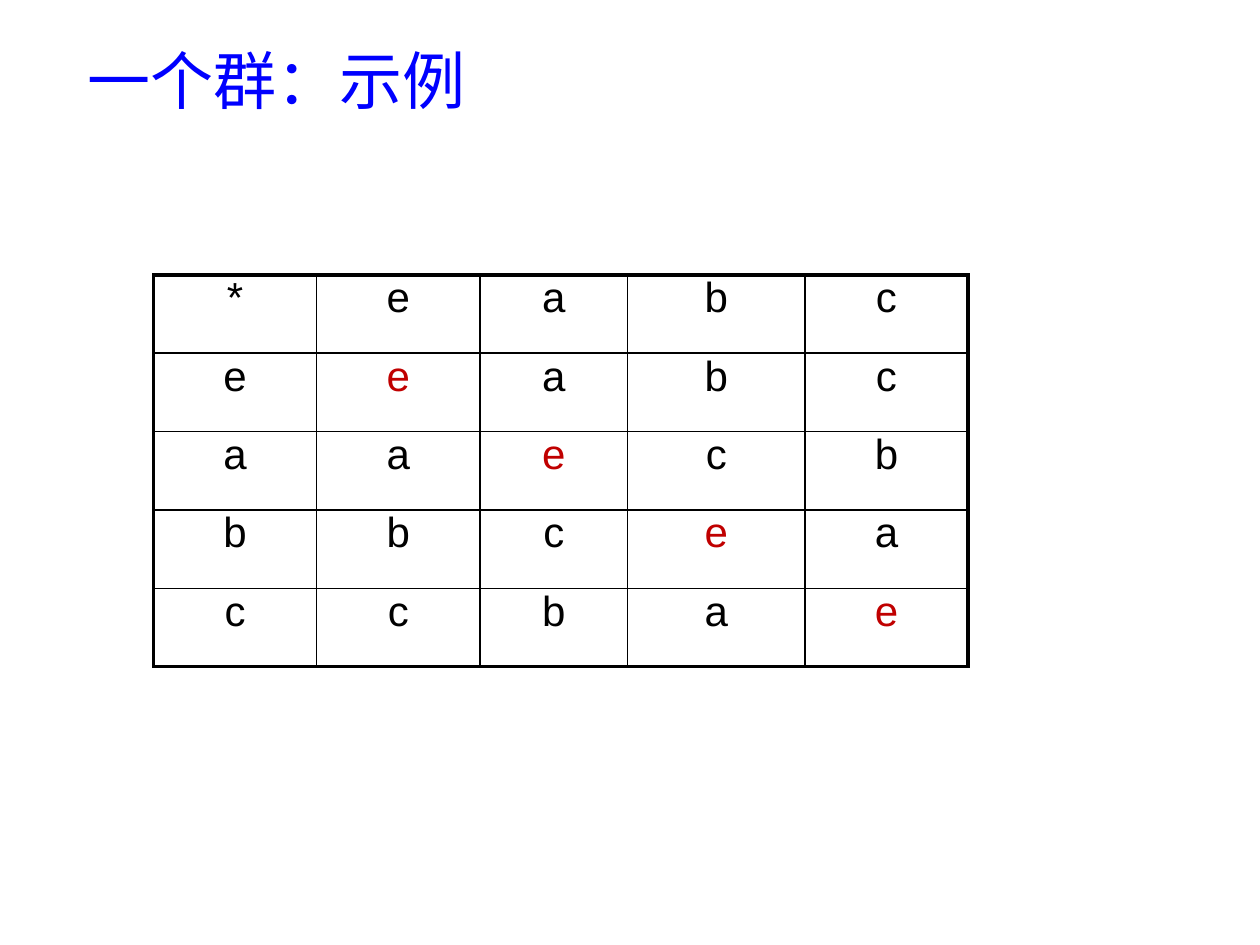
from lxml.etree import SubElement
from pptx import Presentation
from pptx.dml.color import RGBColor
from pptx.enum.text import MSO_ANCHOR, PP_ALIGN
from pptx.oxml.ns import qn
from pptx.util import Cm, Pt

TITLE = "一个群：示例"
ROWS = ["*eabc", "eeabc", "aaecb", "bbcea", "ccbae"]
WIDTHS = [3.28, 3.3, 2.97, 3.58, 3.28]
HIGH = 1.58

THEME = {
    "blue": RGBColor(0x00, 0x00, 0xFF),
    "black": RGBColor(0x00, 0x00, 0x00),
    "red": RGBColor(0xC0, 0x00, 0x00),
    "head": {"name": "Noto Sans CJK SC", "size": Pt(36), "bold": False},
    "cell": {"name": "Arial", "size": Pt(24), "bold": False},
    "thin": Pt(1),
    "thick": Pt(2.25),
}
PLAIN = {"first_row": False, "horz_banding": False}
INSET = {"margin_left": 0, "margin_right": 0, "margin_top": 0,
         "margin_bottom": 0, "vertical_anchor": MSO_ANCHOR.TOP}


def apply(item, values):
    for name, value in values.items():
        setattr(item, name, value)


def write(para, text, look, color, align):
    para.alignment = align
    run = para.add_run()
    run.text = text
    apply(run.font, THEME[look])
    run.font.color.rgb = THEME[color]
    return run


def border(cell, edges):
    props = cell._tc.get_or_add_tcPr()
    for side, outer in edges.items():
        width = THEME["thick" if outer else "thin"]
        line = SubElement(props, qn(f"a:ln{side}"), w=str(width))
        fill = SubElement(line, qn("a:solidFill"))
        SubElement(fill, qn("a:srgbClr"), val=str(THEME["black"]))


def add_title(slide):
    title = slide.shapes.title
    apply(title, {"left": Cm(1.5), "top": 0, "width": Cm(22.86), "height": Cm(3.18)})
    frame = title.text_frame
    frame.vertical_anchor = MSO_ANCHOR.MIDDLE
    run = write(frame.paragraphs[0], TITLE, "head", "blue", PP_ALIGN.LEFT)
    SubElement(run.font._element, qn("a:ea"), typeface=THEME["head"]["name"])


def add_grid(slide):
    last, end = len(ROWS) - 1, len(WIDTHS) - 1
    table = slide.shapes.add_table(
        len(ROWS), len(WIDTHS), Cm(3.1), Cm(5.54),
        Cm(sum(WIDTHS)), Cm(HIGH * len(ROWS))).table
    apply(table, PLAIN)
    for col, width in zip(table.columns, WIDTHS):
        col.width = Cm(width)
    for r, letters in enumerate(ROWS):
        table.rows[r].height = Cm(HIGH)
        for c, letter in enumerate(letters):
            cell = table.cell(r, c)
            apply(cell, INSET)
            border(cell, {"L": c == 0, "R": c == end, "T": r == 0, "B": r == last})
            cell.fill.background()
            color = "red" if r == c > 0 else "black"
            write(cell.text_frame.paragraphs[0], letter, "cell", color, PP_ALIGN.CENTER)


def main():
    deck = Presentation()
    apply(deck, {"slide_width": Cm(25.4), "slide_height": Cm(19.05)})
    slide = deck.slides.add_slide(deck.slide_layouts[5])
    add_title(slide)
    add_grid(slide)
    deck.save("out.pptx")


if __name__ == "__main__":
    main()
